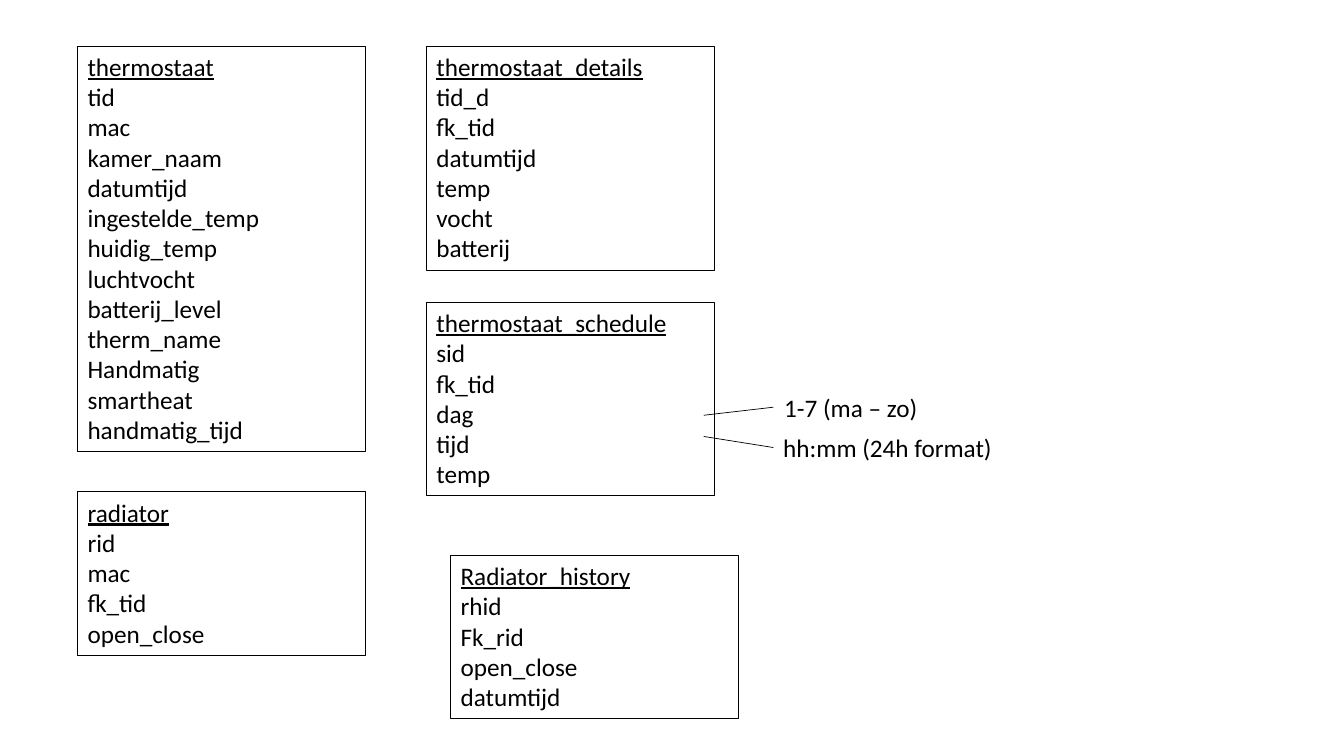
from pptx import Presentation
from pptx.dml.color import RGBColor
from pptx.enum.shapes import MSO_CONNECTOR, MSO_SHAPE
from pptx.enum.text import MSO_ANCHOR, MSO_AUTO_SIZE, PP_ALIGN
from pptx.oxml.ns import qn
from pptx.util import Inches, Pt
from lxml.etree import SubElement

BLACK = "000000"
FONT = "Calibri"
ENTITY_WIDTH = 2.86
LINE_HEIGHT = 0.3
VERTICAL_PADDING = 0.12
LEFT_COLUMN, RIGHT_COLUMN = 0.77, 4.23

# Left, top, table name, fields
ENTITIES = [
    (LEFT_COLUMN, 4.88, "radiator", ["rid", "mac", "fk_tid", "open_close"]),
    (LEFT_COLUMN, 0.46, "thermostaat",
     ["tid", "mac", "kamer_naam", "datumtijd", "ingestelde_temp", "huidig_temp",
      "luchtvocht", "batterij_level", "therm_name", "Handmatig", "smartheat",
      "handmatig_tijd"]),
    (RIGHT_COLUMN, 0.46, "thermostaat_details",
     ["tid_d", "fk_tid", "datumtijd", "temp", "vocht", "batterij"]),
    (RIGHT_COLUMN, 3, "thermostaat_schedule",
     ["sid", "fk_tid", "dag", "tijd", "temp"]),
    (4.47, 5.51, "Radiator_history",
     ["rhid", "Fk_rid", "open_close", "datumtijd"]),
]

# Text, box (left, top, width, height), line start and end heights
NOTES = [
    ("1-7 (ma – zo)", (7.68, 3.84, 1.54, 0.4), 4.12, 4.04),
    ("hh:mm (24h format)", (7.67, 4.24, 2.3, 0.4), 4.33, 4.44),
]
NOTE_LINE_START, NOTE_LINE_END = 6.98, 7.67


def color(value):
    return RGBColor.from_string(value)


def write_lines(frame, lines, wrap):
    frame.text = "\n".join(lines)
    frame.word_wrap = wrap
    frame.auto_size = MSO_AUTO_SIZE.SHAPE_TO_FIT_TEXT
    frame.vertical_anchor = MSO_ANCHOR.TOP
    for para in frame.paragraphs:
        para.alignment = PP_ALIGN.LEFT
        for span in para.runs:
            span.font.name = FONT
            span.font.size = Pt(18)
            span.font.color.rgb = color(BLACK)


def add_entity(page, left, top, name, fields):
    """Outlined box with an underlined table name above its fields."""
    lines = [name] + fields
    height = VERTICAL_PADDING + LINE_HEIGHT * len(lines)
    box = page.shapes.add_shape(
        MSO_SHAPE.RECTANGLE, Inches(left), Inches(top),
        Inches(ENTITY_WIDTH), Inches(height))
    box.shadow.inherit = False
    box.fill.background()
    box.line.color.rgb = color(BLACK)
    box.line.width = Pt(0.75)
    write_lines(box.text_frame, lines, wrap=True)
    box.text_frame.paragraphs[0].runs[0].font.underline = True


def add_note(page, text, area, start_height, end_height):
    """Remark beside a field, joined to it by a thin line."""
    line = page.shapes.add_connector(
        MSO_CONNECTOR.STRAIGHT, Inches(NOTE_LINE_START), Inches(start_height),
        Inches(NOTE_LINE_END), Inches(end_height))
    line.line.color.rgb = color(BLACK)
    line.line.width = Pt(0.5)
    SubElement(line._element.spPr, qn("a:effectLst"))

    box = page.shapes.add_textbox(*[Inches(length) for length in area])
    write_lines(box.text_frame, [text], wrap=False)


def main():
    deck = Presentation()
    deck.slide_width, deck.slide_height = Inches(13.33), Inches(7.5)
    page = deck.slides.add_slide(deck.slide_layouts[6])

    # Database tables
    for entity in ENTITIES:
        add_entity(page, *entity)

    # Remarks on the schedule fields
    for note in NOTES:
        add_note(page, *note)

    deck.save("out.pptx")


if __name__ == "__main__":
    main()
